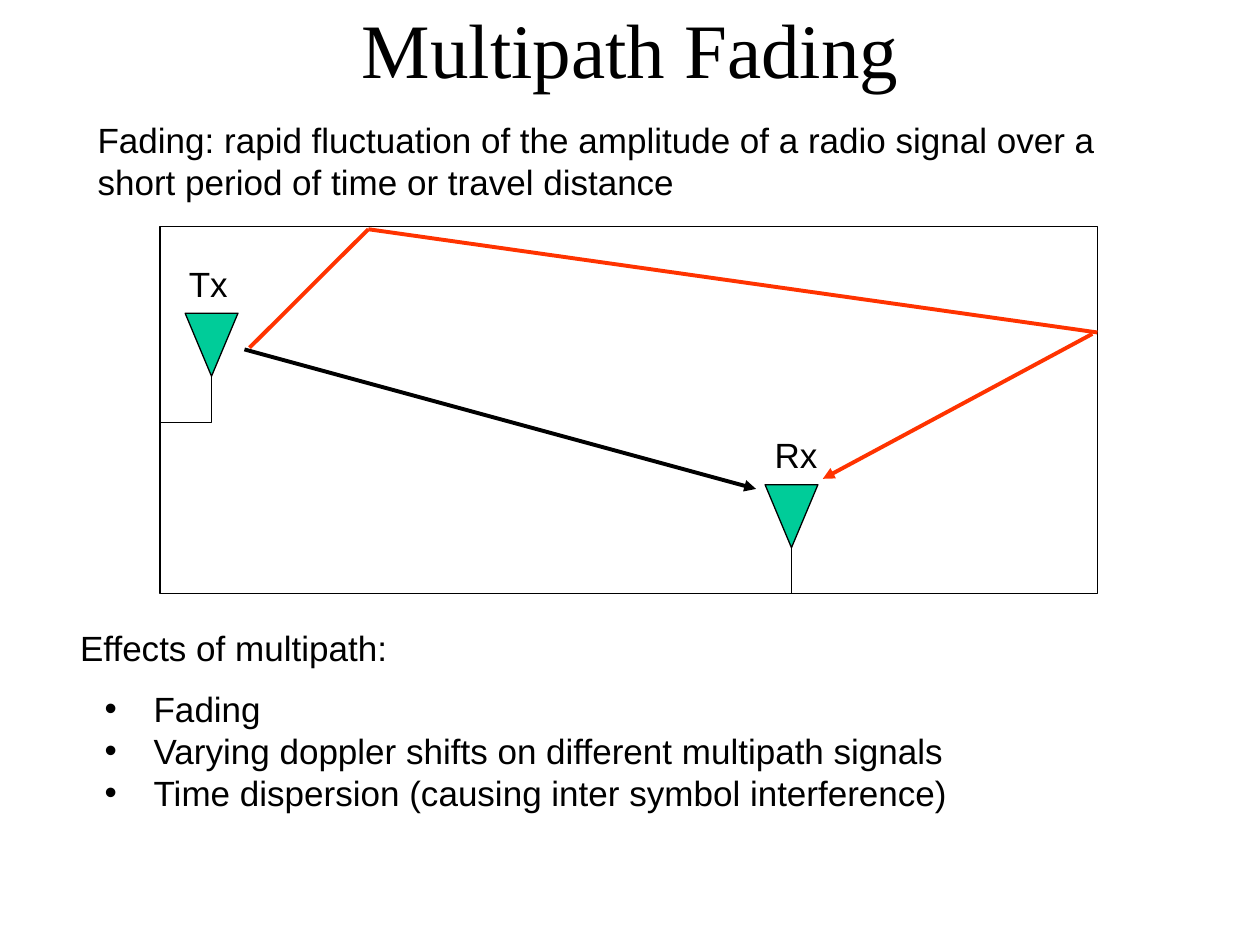
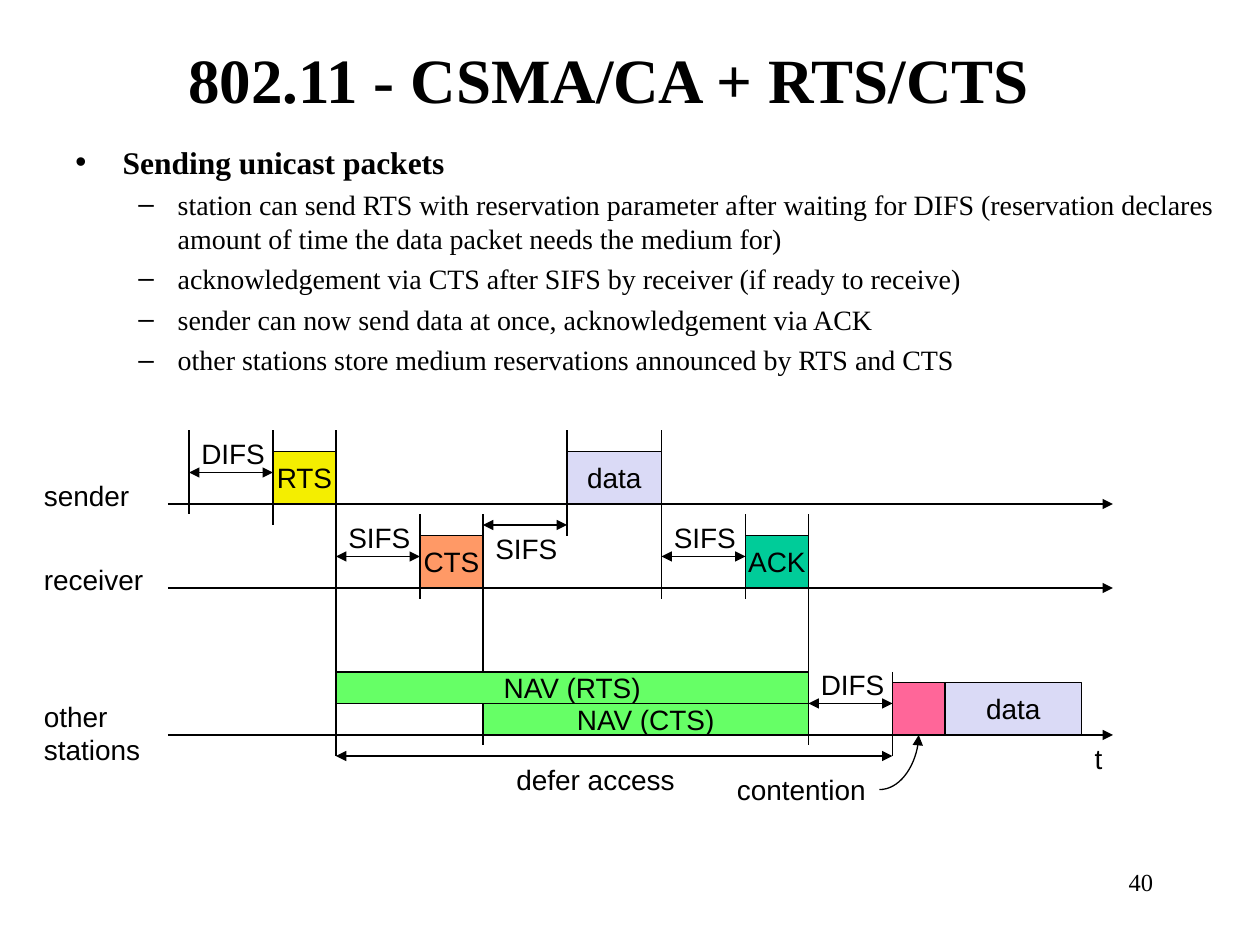
"""Build two slides on multipath fading and on 802.11 medium reservation."""
from lxml import etree
from pptx import Presentation
from pptx.dml.color import RGBColor
from pptx.enum import shapes, text
from pptx.oxml import ns
from pptx.util import Pt

BLACK = RGBColor(0x00, 0x00, 0x00)
RED = RGBColor(0xFF, 0x33, 0x00)
TEAL = RGBColor(0x00, 0xCC, 0x99)
LAVENDER = RGBColor(0xDA, 0xDA, 0xF6)
YELLOW = RGBColor(0xF4, 0xEE, 0x00)
ORANGE = RGBColor(0xFF, 0x99, 0x66)
PINK = RGBColor(0xFF, 0x66, 0x99)
GREEN = RGBColor(0x66, 0xFF, 0x66)
SANS, SERIF = "Arial", "Times New Roman"
LEFT, CENTER, RIGHT = text.PP_ALIGN.LEFT, text.PP_ALIGN.CENTER, text.PP_ALIGN.RIGHT
RECTANGLE = shapes.MSO_SHAPE.RECTANGLE
ANTENNA = shapes.MSO_SHAPE.FLOWCHART_MERGE
STRAIGHT, ELBOW, CURVE = (shapes.MSO_CONNECTOR.STRAIGHT, shapes.MSO_CONNECTOR.ELBOW,
                          shapes.MSO_CONNECTOR.CURVE)
ONE_BEND = {ELBOW: "bentConnector2", CURVE: "curvedConnector2"}


class Painter:
    """Hold the deck style and the current slide."""

    def __init__(self):
        self.deck = Presentation()
        self.deck.slide_width, self.deck.slide_height = Pt(720), Pt(540)
        self.page = None

    def start(self, title, area, size, bold=False):
        self.page = self.deck.slides.add_slide(self.deck.slide_layouts[5])
        box = self.page.shapes.title
        box.left, box.top, box.width, box.height = map(Pt, area)
        frame = box.text_frame
        frame.text = title
        frame.auto_size = text.MSO_AUTO_SIZE.NONE
        frame.vertical_anchor = text.MSO_ANCHOR.MIDDLE
        self.style(frame.paragraphs[0], size, SERIF, CENTER, bold)

    def style(self, para, size, font=SANS, align=LEFT, bold=False):
        para.alignment = align
        for span in para.runs:
            span.font.size, span.font.name, span.font.bold = Pt(size), font, bold
            span.font.color.rgb = BLACK

    def label(self, words, area, size=16, font=SANS, align=LEFT):
        frame = self.page.shapes.add_textbox(*map(Pt, area)).text_frame
        frame.word_wrap = True
        frame.text = words
        for para in frame.paragraphs:
            self.style(para, size, font, align)
        return frame.paragraphs

    def bullet(self, para, mark, margin, hang):
        props = para._p.get_or_add_pPr()
        props.set("marL", str(Pt(margin)))
        props.set("indent", str(Pt(-hang)))
        etree.SubElement(props, ns.qn("a:buFont"), typeface=SANS)
        etree.SubElement(props, ns.qn("a:buChar"), char=mark)

    def shape(self, area, fill=None, words="", kind=RECTANGLE):
        box = self.page.shapes.add_shape(kind, *map(Pt, area))
        box.shadow.inherit = False
        if fill is None:
            box.fill.background()
        else:
            box.fill.solid()
            box.fill.fore_color.rgb = fill
        box.line.color.rgb, box.line.width = BLACK, Pt(0.75)
        if words:
            frame = box.text_frame
            frame.text = words
            frame.word_wrap = False
            frame.vertical_anchor = text.MSO_ANCHOR.MIDDLE
            self.style(frame.paragraphs[0], 16, align=CENTER)

    def line(self, x1, y1, x2, y2, ends="", color=BLACK, width=0.75, kind=STRAIGHT):
        link = self.page.shapes.add_connector(kind, *map(Pt, (x1, y1, x2, y2)))
        link.line.color.rgb, link.line.width = color, Pt(width)
        props = link.element.spPr
        if kind in ONE_BEND:
            props.find(ns.qn("a:prstGeom")).set("prst", ONE_BEND[kind])
        for end in ends.split():
            etree.SubElement(props.find(ns.qn("a:ln")), ns.qn(f"a:{end}End"), type="triangle")
        etree.SubElement(props, ns.qn("a:effectLst"))


def draw_fading(painter):
    painter.start("Multipath Fading", (35.3, 0, 650, 54), 44)
    painter.shape((91.5, 129.6, 535.7, 209.5))
    for name, x, y, label_x in (("Tx", 105.8, 179, 100.8), ("Rx", 437.2, 277, 435.6)):
        painter.shape((x, y, 30.2, 36), TEAL, kind=ANTENNA)
        painter.line(x - 14.7, y + 62.3, x + 15.1, y + 36, kind=ELBOW)
        painter.label(name, (label_x, y - 32.8, 42, 31.5), 20)
    painter.line(139.7, 199.7, 432, 279.4, "tail", width=2.25)
    for x1, y1, x2, y2, ends in ((142.6, 198.7, 210.5, 131, ""),
                                 (210.5, 131, 627.1, 190, ""),
                                 (624.2, 190.8, 470.2, 273.6, "tail")):
        painter.line(x1, y1, x2, y2, ends, RED, 2.25)
    painter.label("Fading: rapid fluctuation of the amplitude of a radio signal over a\n"
                  "short period of time or travel distance", (48.7, 64, 594, 55.5), 20)
    painter.label("Effects of multipath:", (38.7, 354.5, 194, 31.5), 20)
    effects = painter.label("Fading\nVarying doppler shifts on different multipath signals\n"
                            "Time dispersion (causing inter symbol interference)",
                            (52.7, 389.2, 600, 79), 20)
    for para in effects:
        painter.bullet(para, "•", 28, 28)


def draw_reservation(painter):
    painter.start("802.11 - CSMA/CA + RTS/CTS", (41.8, 0, 612, 90), 36, True)
    heading, *steps = painter.label(
        "Sending unicast packets\n"
        "station can send RTS with reservation parameter after waiting for DIFS "
        "(reservation declares amount of time the data packet needs the medium for)\n"
        "acknowledgement via CTS after SIFS by receiver (if ready to receive)\n"
        "sender can now send data at once, acknowledgement via ACK\n"
        "other stations store medium reservations announced by RTS and CTS",
        (36, 78, 684, 150), 16, SERIF)
    painter.bullet(heading, "•", 27, 27)
    painter.style(heading, 18, SERIF, bold=True)
    for para in steps:
        painter.bullet(para, "–", 58.5, 22.5)
        para.space_before = Pt(4)

    for name, y, label_y in (("sender", 288, 270), ("receiver", 336, 318),
                             ("other\nstations", 420, 396)):
        painter.line(96, y, 636, y, "tail")
        painter.label(name, (18, label_y, 74, 26.5))

    for x, top, bottom in ((108, 246, 294), (156, 246, 300), (192, 246, 432), (240, 294, 342),
                           (276, 294, 426), (324, 246, 306), (378, 246, 342), (426, 294, 342),
                           (462, 294, 426), (510, 384, 432)):
        painter.line(x, top, x, bottom)

    for name, x, y, width, height, fill in (
            ("RTS", 156, 258, 36, 30, YELLOW), ("data", 324, 258, 54, 30, LAVENDER),
            ("CTS", 240, 306, 36, 30, ORANGE), ("ACK", 426, 306, 36, 30, TEAL),
            ("NAV (RTS)", 192, 384, 270, 18, GREEN), ("NAV (CTS)", 276, 402, 186, 18, GREEN),
            ("", 510, 390, 30, 30, PINK), ("data", 540, 390, 78, 30, LAVENDER)):
        painter.shape((x, y, width, height), fill, name)

    for name, x, y, label_y in (("DIFS", 108, 270, 246), ("SIFS", 192, 318, 294),
                                ("SIFS", 276, 300, 300), ("SIFS", 378, 318, 294),
                                ("DIFS", 462, 402, 378)):
        painter.line(x, y, x + 48, y, "head tail")
        painter.label(name, (x, label_y, 56, 26.5))

    painter.line(192, 432, 510, 432, "head tail")
    painter.label("defer access", (288, 432, 112, 26.5))
    painter.label("contention", (414, 438, 92, 26.5))
    painter.line(502.5, 451.2, 525, 420, "tail", kind=CURVE)
    painter.label("t", (618.5, 420, 22, 26.5))
    painter.label("40", (516, 492, 150, 36), 14, SERIF, RIGHT)


def main():
    painter = Painter()
    draw_fading(painter)
    draw_reservation(painter)
    painter.deck.save("out.pptx")


if __name__ == "__main__":
    main()
